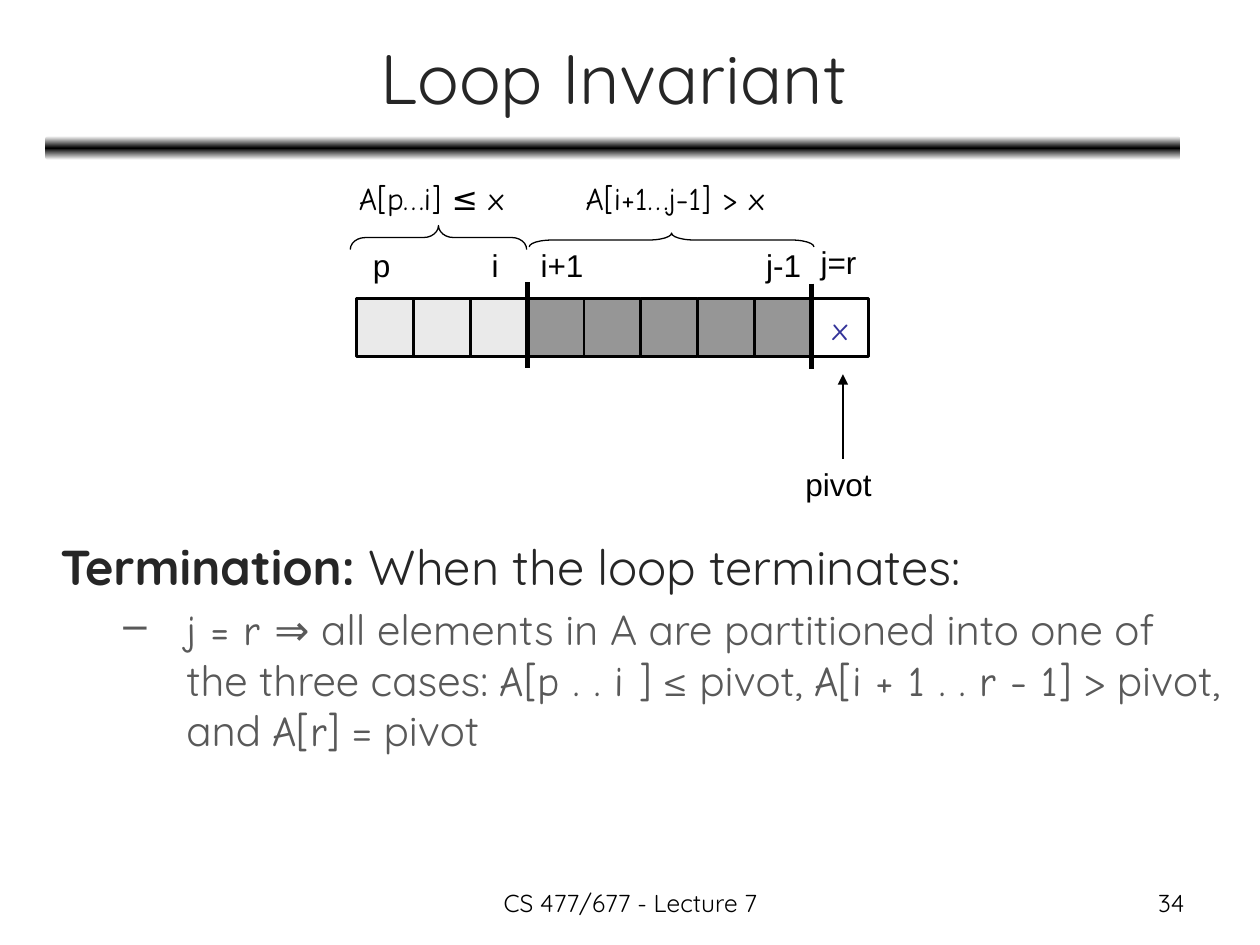
from lxml.etree import SubElement
from pptx import Presentation
from pptx.dml.color import RGBColor
from pptx.enum.shapes import MSO_CONNECTOR as Connector, MSO_SHAPE as Shape
from pptx.enum.text import MSO_ANCHOR as Anchor, PP_ALIGN as Align
from pptx.oxml.ns import qn
from pptx.util import Inches, Pt

COLORS = {"black": "000000", "white": "FFFFFF", "title": "262626", "body": "595959",
          "small": "EAEAEA", "large": "969696", "pivot": "333399"}
MAIN, CODE, LABEL = "Quicksand", "Comic Neue", "Arial"

CELLS = ["small"] * 3 + ["large"] * 5 + [None]
CELL_LEFT, CELL_TOP, CELL_WIDTH, CELL_HEIGHT = 2.83, 2.37, 0.45, 0.46
CELL_STEP = 0.4515
DIVIDERS = [(3, 2.24), (8, 2.25)]
BRACES = [(2.78, 1.79, 1.40, 0.19, 0.626), (4.20, 1.85, 2.26, 0.11, 1.643)]
RANGES = [("A[p…i] ≤ x", 2.75, 1.46), ("A[i+1…j-1] > x", 4.55, 1.91)]
LABELS = [("p", 2.86, 1.9, 0.34), ("i", 3.80, 1.9, 0.26), ("i+1", 4.19, 1.9, 0.54),
          ("j-1", 5.98, 1.9, 0.48), ("j=r", 6.41, 1.88, 0.49), ("pivot", 6.29, 3.64, 0.73)]
TERMINATION = [("Termination: ", True), ("When the loop terminates:", False)]
CASES = [("j = r ", CODE),
         ("⇒ all elements in A are partitioned into one of the three cases: ", MAIN),
         ("A[p . . i ]", CODE), (" ≤ pivot, ", MAIN), ("A[i + 1 . . r - 1]", CODE),
         (" > pivot, and ", MAIN), ("A[r]", CODE), (" = pivot", MAIN)]

presentation = Presentation()
presentation.slide_width, presentation.slide_height = Inches(10), Inches(7.5)
slide = presentation.slides.add_slide(presentation.slide_layouts[6])


def color(name):
    return RGBColor.from_string(COLORS[name])


def add_run(paragraph, text, font=MAIN, size=18, fill="black", bold=False):
    run = paragraph.add_run()
    run.text = text
    run.font.name, run.font.size, run.font.bold = font, Pt(size), bold
    run.font.color.rgb = color(fill)


def add_text(text, left, top, width, height, align=Align.LEFT, anchor=Anchor.TOP,
             wrap=True, **style):
    box = slide.shapes.add_textbox(*map(Inches, (left, top, width, height)))
    frame = box.text_frame
    frame.word_wrap, frame.vertical_anchor = wrap, anchor
    frame.paragraphs[0].alignment = align
    if text:
        add_run(frame.paragraphs[0], text, **style)
    return frame


def add_shape(kind, left, top, width, height, fill=None, line=None):
    shape = slide.shapes.add_shape(kind, *map(Inches, (left, top, width, height)))
    shape.shadow.inherit = False
    if fill:
        shape.fill.solid()
        shape.fill.fore_color.rgb = color(fill)
    else:
        shape.fill.background()
    if line:
        shape.line.color.rgb = color("black")
        shape.line.width = Pt(line)
    else:
        shape.line.fill.background()
    return shape


def add_line(left, top, bottom, width, arrow=False):
    line = slide.shapes.add_connector(
        Connector.STRAIGHT, *map(Inches, (left, top, left, bottom)))
    line.line.color.rgb = color("black")
    line.line.width = Pt(width)
    properties = line._element.spPr
    if arrow:
        SubElement(properties.find(qn("a:ln")), qn("a:tailEnd"), type="triangle")
    SubElement(properties, qn("a:effectLst"))


def indent(paragraph, margin, hanging, before, bullet=None):
    paragraph.space_before = Pt(before)
    properties = paragraph._p.get_or_add_pPr()
    properties.set("marL", str(Inches(margin)))
    properties.set("indent", str(Inches(-hanging)))
    if bullet:
        SubElement(properties, qn("a:buChar"), char=bullet)


rule = add_shape(Shape.ROUNDED_RECTANGLE, 0.36, 1.08, 9.01, 0.19)
rule.fill.gradient()
rule.fill.gradient_angle = 90
stops = rule._element.spPr.find(qn("a:gradFill")).find(qn("a:gsLst"))
for stop in list(stops):
    stops.remove(stop)
for position, name in [(0, "white"), (50000, "black"), (100000, "white")]:
    stop = SubElement(stops, qn("a:gs"), pos=str(position))
    SubElement(stop, qn("a:srgbClr"), val=COLORS[name])

add_text("Loop Invariant", 0.37, 0.11, 9, 0.99, align=Align.CENTER,
         anchor=Anchor.MIDDLE, size=40, fill="title")
add_text("CS 477/677 - Lecture 7", 3.42, 7, 3.17, 0.35, align=Align.CENTER, size=14)
add_text("34", 7.17, 7, 2.33, 0.35, align=Align.RIGHT, size=14)

body = add_text("", 0.38, 4.21, 9.45, 3.02)
heading = body.paragraphs[0]
indent(heading, 0.58, 0.58, 5.6)
for text, bold in TERMINATION:
    add_run(heading, text, size=28, fill="title", bold=bold)
cases = body.add_paragraph()
cases.level = 1
indent(cases, 1, 0.5, 4.8, bullet="–")
for text, font in CASES:
    add_run(cases, text, font=font, size=24, fill="body")

for index, fill in enumerate(CELLS):
    cell = add_shape(Shape.RECTANGLE, CELL_LEFT + index * CELL_STEP, CELL_TOP,
                     CELL_WIDTH, CELL_HEIGHT, fill=fill, line=1.5)
pivot = cell.text_frame.paragraphs[0]
pivot.alignment = Align.CENTER
add_run(pivot, "x", font=CODE, fill="pivot")

for index, top in DIVIDERS:
    add_line(CELL_LEFT + index * CELL_STEP, top, top + 0.68, 3)
add_line(6.69, 3.64, 2.97, 1.5, arrow=True)

for left, top, span, depth, curve in BRACES:
    brace = add_shape(Shape.LEFT_BRACE, left + (span - depth) / 2,
                      top - (span - depth) / 2, depth, span, line=0.75)
    brace.rotation = 90
    brace.adjustments[0] = curve

for text, left, width in RANGES:
    add_text(text, left, 1.37, width, 0.4, font=CODE)
for text, left, top, width in LABELS:
    add_text(text, left, top, width, 0.4, align=Align.CENTER, wrap=False, font=LABEL)

presentation.save("out.pptx")
